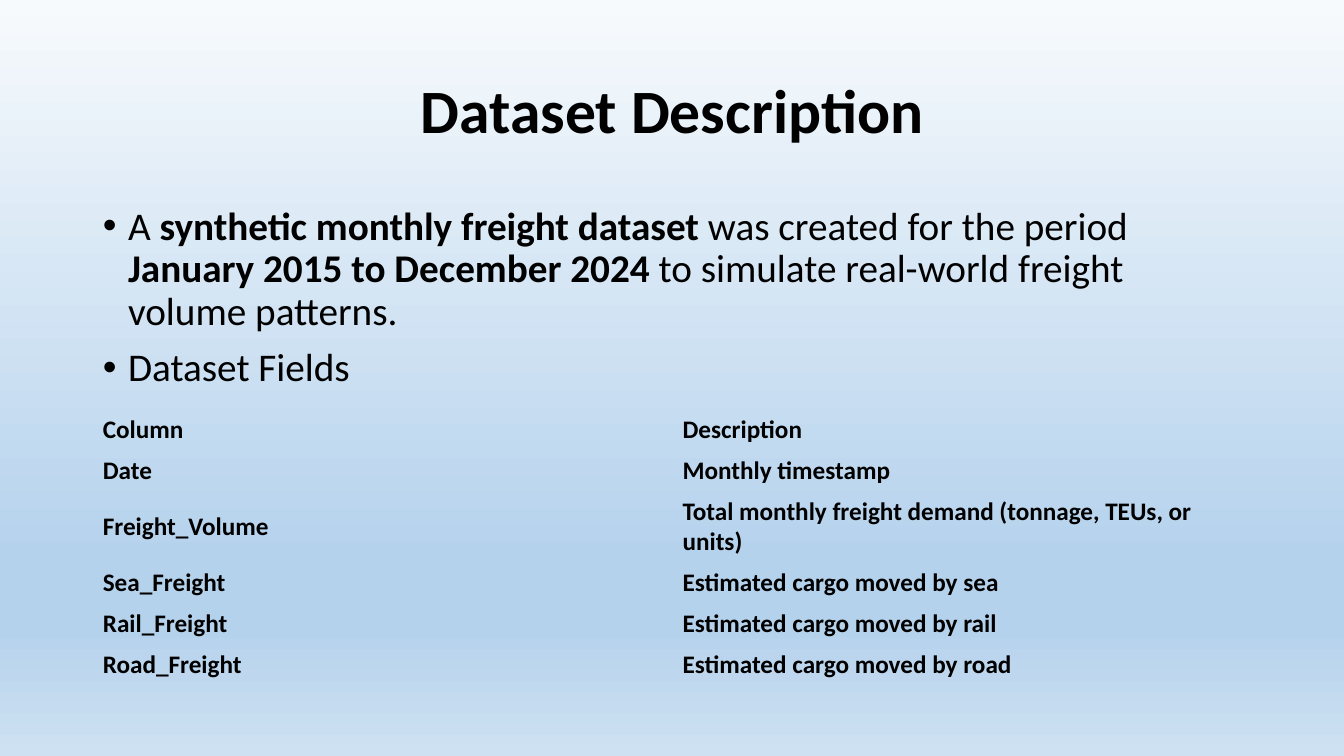
import copy

import pptx
import pptx.dml.color
import pptx.enum.text
import pptx.oxml.ns
import pptx.util
from pptx.util import Inches

BLACK = pptx.dml.color.RGBColor(0x00, 0x00, 0x00)
PALE = pptx.dml.color.RGBColor(0xF7, 0xFA, 0xFD)
SKY = pptx.dml.color.RGBColor(0xB5, 0xD2, 0xEC)
MIST = pptx.dml.color.RGBColor(0xCE, 0xE1, 0xF2)
BACKGROUND_STOPS = [(0, PALE), (0.74, SKY), (0.83, SKY), (1, MIST)]
NO_STYLE_NO_GRID = "{2D5ABB26-0587-4C30-8999-92F81FD0307C}"

LEFT, WIDTH = Inches(0.92), Inches(11.5)
BULLETS = [
    [
        ("A ", False),
        ("synthetic monthly freight dataset", True),
        (" was created for the period ", False),
        ("January 2015 to December 2024", True),
        (" to simulate real-world freight volume patterns.", False),
    ],
    [("Dataset Fields", False)],
]
FIELDS = [
    ("Column", "Description"),
    ("Date", "Monthly timestamp"),
    ("Freight_Volume", "Total monthly freight demand (tonnage, TEUs, or units)"),
    ("Sea_Freight", "Estimated cargo moved by sea"),
    ("Rail_Freight", "Estimated cargo moved by rail"),
    ("Road_Freight", "Estimated cargo moved by road"),
]


def style(span, size, bold):
    span.font.name = "Calibri"
    span.font.size = pptx.util.Pt(size)
    span.font.bold = bold
    span.font.color.rgb = BLACK


def place(box, top, height):
    box.left, box.top, box.width, box.height = LEFT, top, WIDTH, height
    box.text_frame.word_wrap = True
    box.text_frame.auto_size = pptx.enum.text.MSO_AUTO_SIZE.NONE


deck = pptx.Presentation()
deck.slide_width, deck.slide_height = Inches(13.33), Inches(7.5)
page = deck.slides.add_slide(deck.slide_layouts[1])

backdrop = page.background.fill
backdrop.gradient()
backdrop.gradient_angle = 270
stop_list = page.element.find(".//" + pptx.oxml.ns.qn("a:gsLst"))
while len(stop_list) < len(BACKGROUND_STOPS):
    stop_list.append(copy.deepcopy(stop_list[0]))
for stop, (position, color) in zip(backdrop.gradient_stops, BACKGROUND_STOPS):
    stop.position = position
    stop.color.rgb = color

title = page.shapes.title
place(title, Inches(0.4), Inches(1.45))
title.text_frame.text = "Dataset Description"
title.text_frame.vertical_anchor = pptx.enum.text.MSO_ANCHOR.MIDDLE
heading = title.text_frame.paragraphs[0]
heading.alignment = pptx.enum.text.PP_ALIGN.CENTER
heading.line_spacing = 0.9
style(heading.runs[0], 44, True)

body = page.placeholders[1]
place(body, Inches(2), Inches(4.76))
for index, pieces in enumerate(BULLETS):
    para = body.text_frame.add_paragraph() if index else body.text_frame.paragraphs[0]
    properties = para._p.get_or_add_pPr()
    properties.set("marL", str(Inches(0.25)))
    properties.set("indent", str(Inches(-0.25)))
    para.line_spacing = 0.9
    para.space_before = pptx.util.Pt(10 if index else 0)
    for text, bold in pieces:
        span = para.add_run()
        span.text = text
        style(span, 28, bold)

frame = page.shapes.add_table(len(FIELDS), 2, LEFT, Inches(4.06), WIDTH, Inches(2.4))
frame.element.find(".//" + pptx.oxml.ns.qn("a:tableStyleId")).text = NO_STYLE_NO_GRID
table = frame.table
table.first_row = False
table.horz_banding = False
for row, texts in zip(table.rows, FIELDS):
    for cell, text in zip(row.cells, texts):
        cell.text_frame.text = text
        cell.fill.background()
        cell.vertical_anchor = pptx.enum.text.MSO_ANCHOR.MIDDLE
        style(cell.text_frame.paragraphs[0].runs[0], 18, True)

deck.save("out.pptx")
